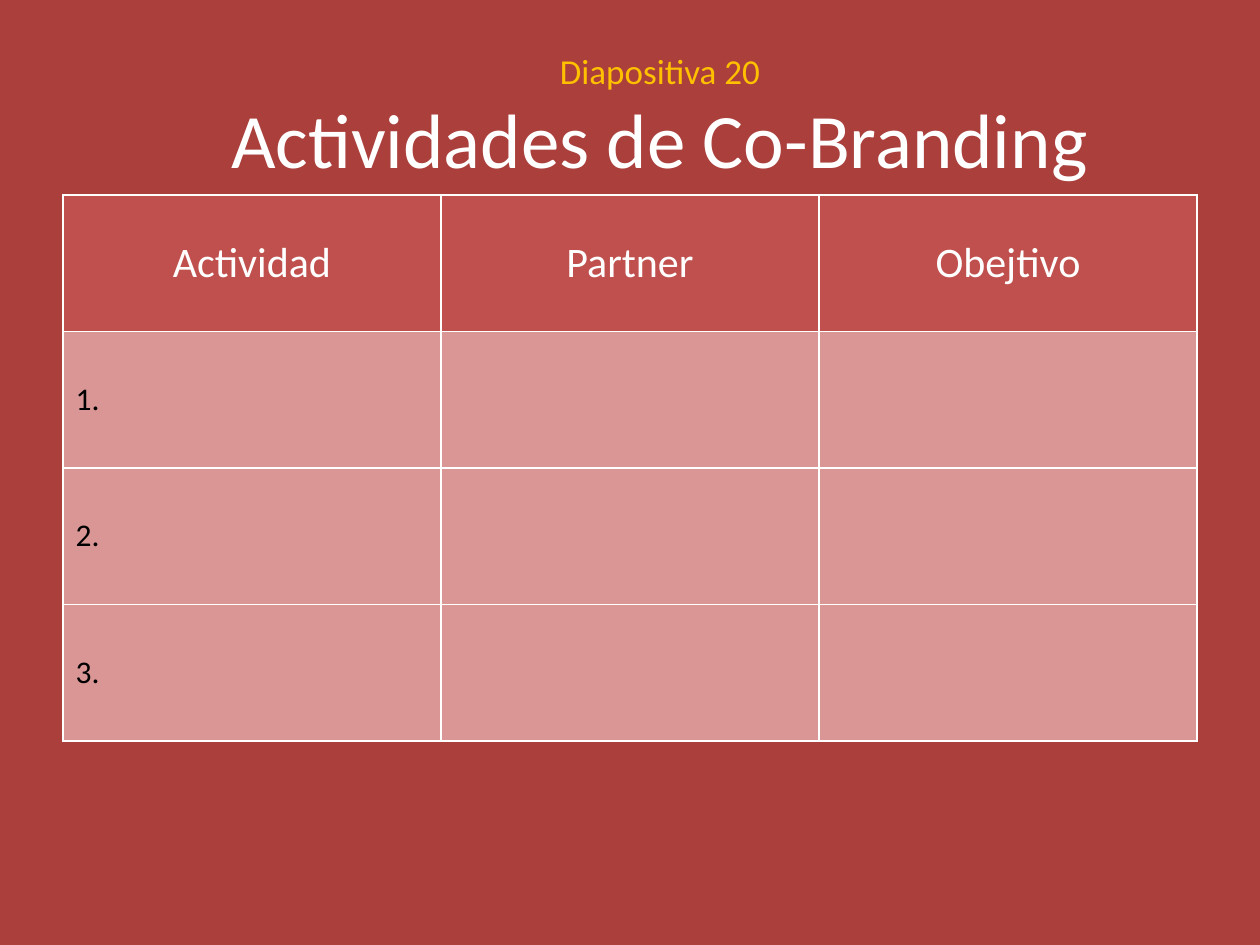
import pptx
import pptx.dml.color
import pptx.enum.text
import pptx.oxml
import pptx.oxml.ns
import pptx.util

THEME = {
    "font": "Calibri",
    "background": "AA3F3C",
    "accent": "FFC000",
    "light": "FFFFFF",
    "dark": "000000",
    "header_fill": "C0504D",
    "body_fill": "D99694",
    "label_size": 20,
    "title_size": 44,
    "header_size": 24,
    "body_size": 18,
    "border_width": 1,
}
SCALE = 914400 / 126
MIDDLE = pptx.enum.text.MSO_ANCHOR.MIDDLE
CENTER = pptx.enum.text.PP_ALIGN.CENTER
LEFT = pptx.enum.text.PP_ALIGN.LEFT


def px(length):
    return pptx.util.Emu(round(length * SCALE))


def set_font(font, size, color):
    font.name = THEME["font"]
    font.size = pptx.util.Pt(THEME[size])
    font.bold = False
    font.color.rgb = pptx.dml.color.RGBColor.from_string(THEME[color])


deck = pptx.Presentation()
deck.slide_width = px(1260)
deck.slide_height = px(945)
page = deck.slides.add_slide(deck.slide_layouts[6])
page.background.fill.solid()
page.background.fill.fore_color.rgb = pptx.dml.color.RGBColor.from_string(THEME["background"])

title_box = page.shapes.add_textbox(px(123), px(38), px(1074), px(157))
title_box.text_frame.word_wrap = True
title_box.text_frame.vertical_anchor = MIDDLE
title = title_box.text_frame.paragraphs[0]
title.alignment = CENTER
label_span = title.add_run()
label_span.text = "Diapositiva 20"
set_font(label_span.font, "label_size", "accent")
title.add_line_break()
title_span = title.add_run()
title_span.text = "Actividades de Co-Branding"
set_font(title_span.font, "title_size", "light")

activities = [
    ["Actividad", "Partner", "Obejtivo"],
    ["1.", "", ""],
    ["2.", "", ""],
    ["3.", "", ""],
]
table = page.shapes.add_table(
    len(activities), len(activities[0]), px(63), px(195), px(1134), px(546)
).table
table.horz_banding = False

for row_index, row in enumerate(activities):
    is_header = row_index == 0
    for column_index, text in enumerate(row):
        cell = table.cell(row_index, column_index)
        cell.vertical_anchor = MIDDLE
        properties = cell._tc.get_or_add_tcPr()
        for side in ("lnL", "lnR", "lnT", "lnB"):
            properties.append(pptx.oxml.parse_xml(
                f'<a:{side} {pptx.oxml.ns.nsdecls("a")} w="{pptx.util.Pt(THEME["border_width"])}">'
                f'<a:solidFill><a:srgbClr val="{THEME["light"]}"/></a:solidFill></a:{side}>'
            ))
        cell.fill.solid()
        cell.fill.fore_color.rgb = pptx.dml.color.RGBColor.from_string(
            THEME["header_fill" if is_header else "body_fill"]
        )
        para = cell.text_frame.paragraphs[0]
        para.text = text
        para.alignment = CENTER if is_header else LEFT
        if is_header:
            set_font(para.font, "header_size", "light")
        else:
            set_font(para.font, "body_size", "dark")

deck.save("out.pptx")
